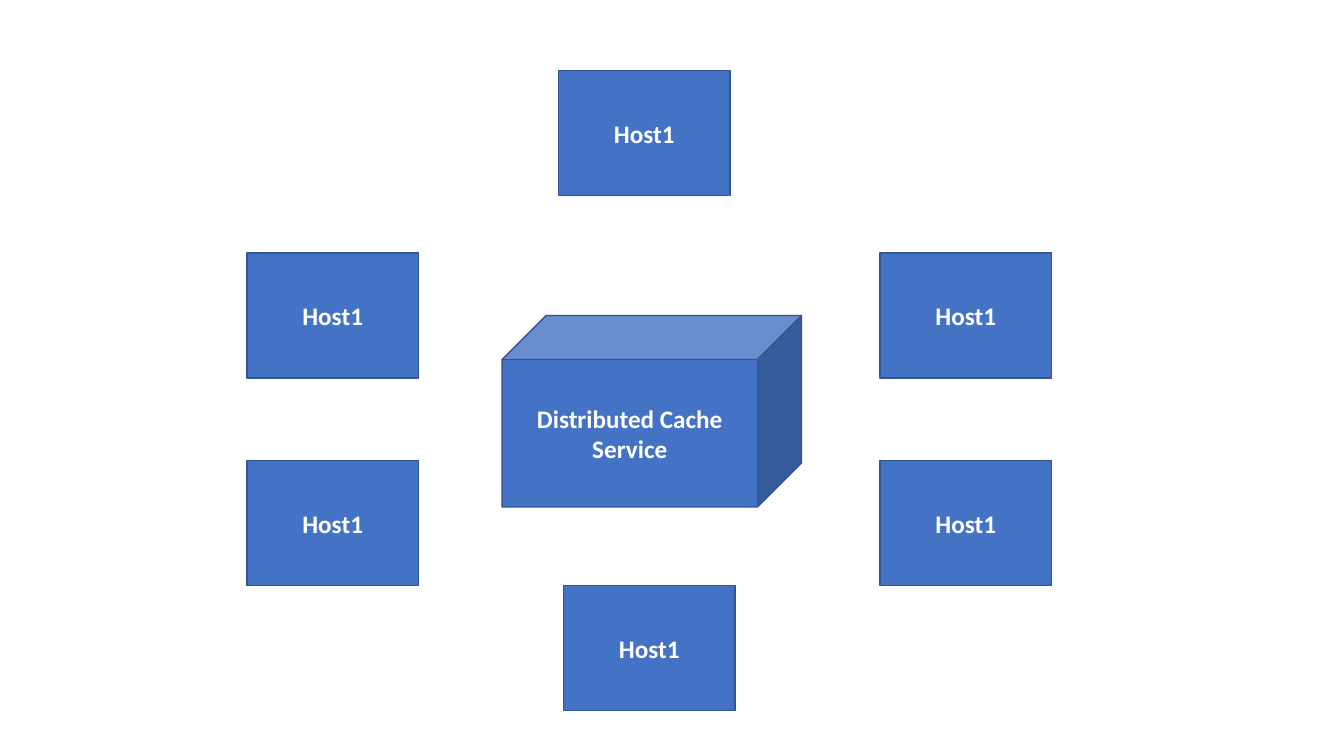
from dataclasses import dataclass
from itertools import product

from pptx import Presentation
from pptx.dml.color import RGBColor
from pptx.enum.shapes import MSO_SHAPE
from pptx.enum.text import MSO_ANCHOR, PP_ALIGN
from pptx.util import Inches, Pt

# Content
HOST_LABEL = "Host1"
SERVICE_LABEL = "Distributed Cache Service"

# Layout in inches: side hosts form a grid, the other two close the ring
SLIDE_SIZE = (13.33, 7.5)
HOST_SIZE = (1.7, 1.24)
SIDE_COLUMNS = (2.45, 8.73)
SIDE_ROWS = (2.51, 4.57)
TOP_HOST = (5.54, 0.7)
BOTTOM_HOST = (5.59, SIDE_ROWS[-1] + HOST_SIZE[1])
SERVICE_PLACE = (4.98, 3.13)
SERVICE_SIZE = (2.97, 1.9)
SERVICE_DEPTH = 0.23


@dataclass(frozen=True)
class Theme:
    """Colours and type of the slide."""
    fill: RGBColor = RGBColor(0x44, 0x72, 0xC4)
    line: RGBColor = RGBColor(0x32, 0x54, 0x91)
    text: RGBColor = RGBColor(0xFF, 0xFF, 0xFF)
    font: str = "Calibri"
    text_size: int = 18
    line_width: int = 1


THEME = Theme()


def add_node(page, kind, place, size, label):
    """Add a filled shape with a centred bold label."""
    node = page.shapes.add_shape(kind, *map(Inches, place + size))
    node.shadow.inherit = False
    node.fill.solid()
    node.fill.fore_color.rgb = THEME.fill
    node.line.color.rgb = THEME.line
    node.line.width = Pt(THEME.line_width)
    frame = node.text_frame
    frame.text = label
    frame.word_wrap = True
    frame.vertical_anchor = MSO_ANCHOR.MIDDLE
    para = frame.paragraphs[0]
    para.alignment = PP_ALIGN.CENTER
    font = para.runs[0].font
    font.name = THEME.font
    font.size = Pt(THEME.text_size)
    font.bold = True
    font.color.rgb = THEME.text
    return node


def build():
    """Build the ring of hosts around the cache service."""
    deck = Presentation()
    deck.slide_width, deck.slide_height = map(Inches, SLIDE_SIZE)
    page = deck.slides.add_slide(deck.slide_layouts.get_by_name("Blank"))
    for place in (TOP_HOST, *product(SIDE_COLUMNS, SIDE_ROWS), BOTTOM_HOST):
        add_node(page, MSO_SHAPE.RECTANGLE, place, HOST_SIZE, HOST_LABEL)
    service = add_node(page, MSO_SHAPE.CUBE, SERVICE_PLACE, SERVICE_SIZE, SERVICE_LABEL)
    service.adjustments[0] = SERVICE_DEPTH
    deck.save("out.pptx")


build()
